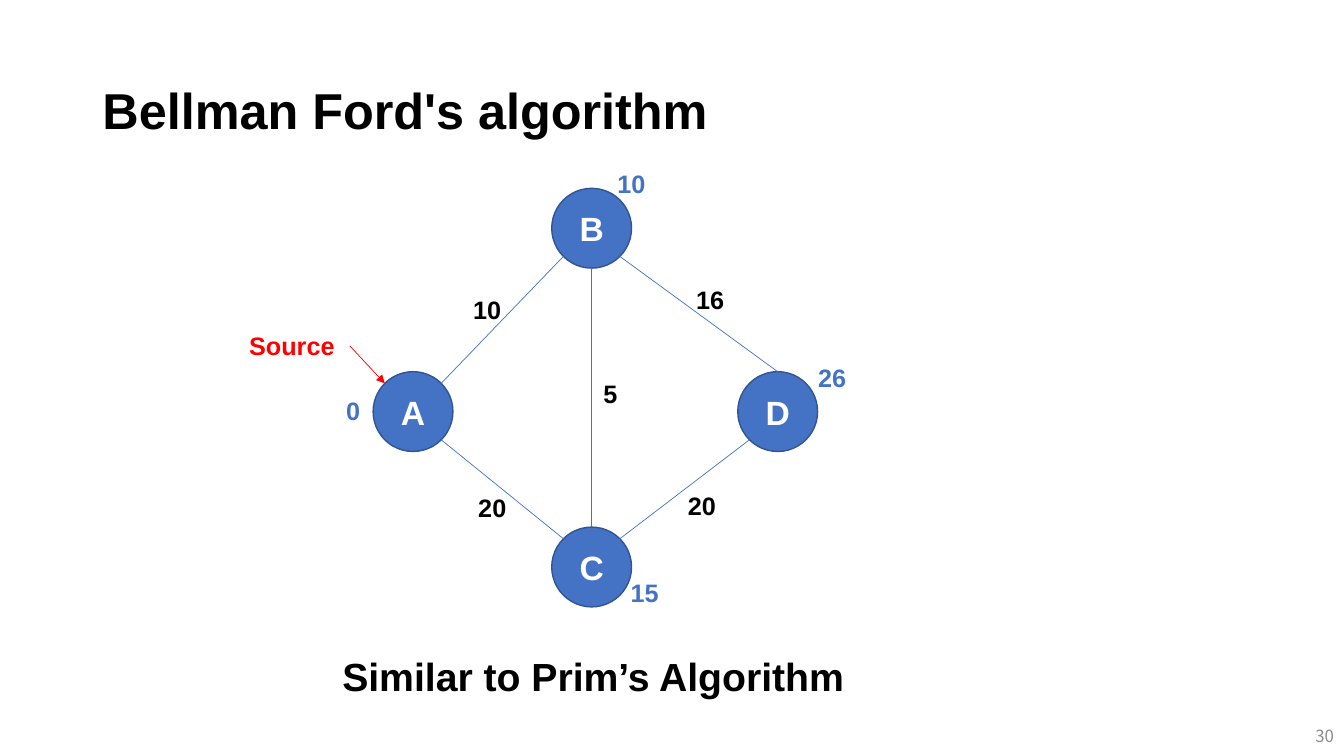
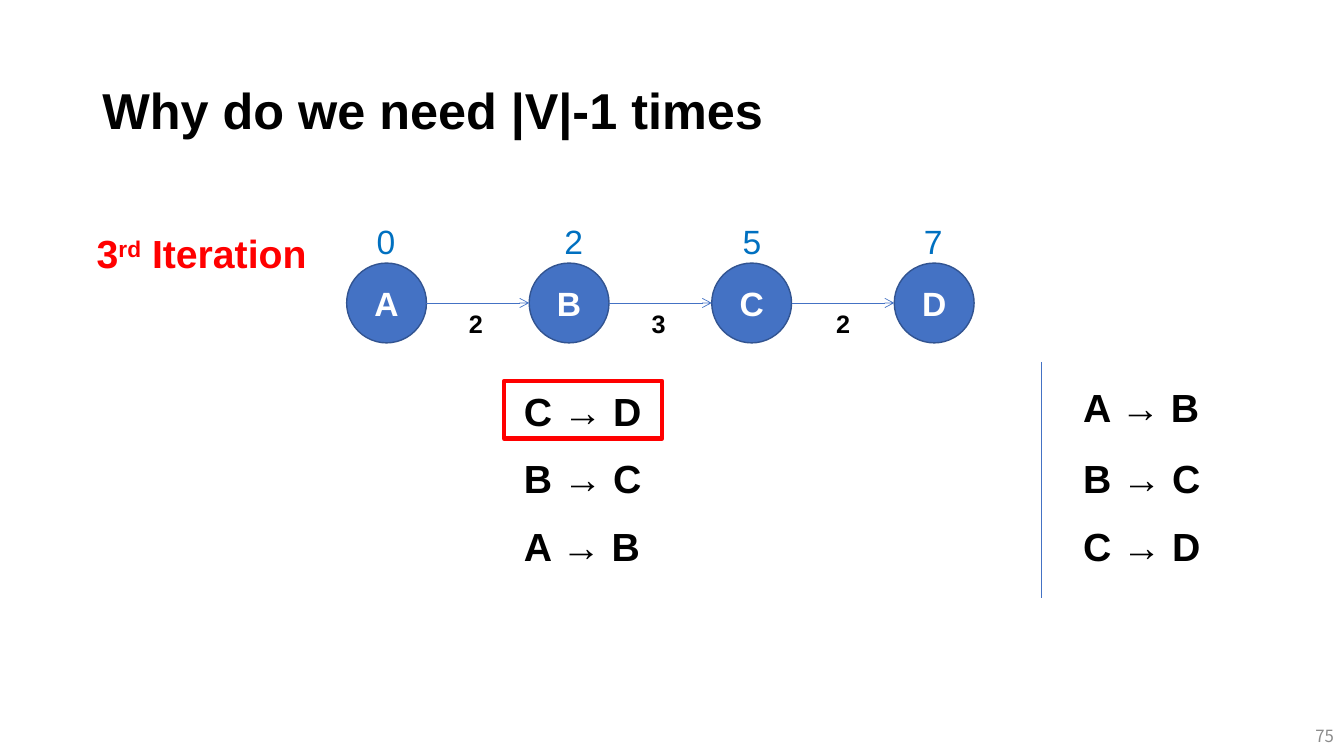
import math

from pptx import Presentation
from pptx.dml.color import RGBColor
from pptx.enum import shapes, text
from pptx.oxml.ns import qn
from pptx.util import Pt
from lxml import etree

FONT = "Arial"
NUMBER_FONT = "Noto Sans CJK KR"
BLACK = "000000"
WHITE = "FFFFFF"
BLUE = "4472C4"
DARK_BLUE = "325491"
BRIGHT_BLUE = "0070C0"
RED = "FF0000"
GREY = "8C8C8C"

DIAMETER = 57
LEFT, CENTER, RIGHT = text.PP_ALIGN.LEFT, text.PP_ALIGN.CENTER, text.PP_ALIGN.RIGHT
TOP, MIDDLE = text.MSO_ANCHOR.TOP, text.MSO_ANCHOR.MIDDLE


def color(hex_string):
    return RGBColor.from_string(hex_string)


def points(*lengths):
    return [Pt(length) for length in lengths]


def style_text(shape, size, hex_color, bold=True, align=LEFT, anchor=TOP, font=FONT):
    shape.text_frame.vertical_anchor = anchor
    for paragraph in shape.text_frame.paragraphs:
        paragraph.alignment = align
        for run in paragraph.runs:
            run.font.name = font
            run.font.size = Pt(size)
            run.font.bold = bold
            run.font.color.rgb = color(hex_color)


def add_text(slide, content, box, size, hex_color, wrap=True, **style):
    shape = slide.shapes.add_textbox(*points(*box))
    shape.text_frame.word_wrap = wrap
    shape.text_frame.text = content
    style_text(shape, size, hex_color, **style)
    return shape


def add_label(slide, content, left, top, hex_color=BLACK):
    """Add a small centred number beside a node or an edge."""
    add_text(slide, content, (left, top, 38, 29), 18, hex_color, align=CENTER)


def add_node(slide, name, center):
    x, y = center
    box = points(x - DIAMETER / 2, y - DIAMETER / 2, DIAMETER, DIAMETER)
    node = slide.shapes.add_shape(shapes.MSO_SHAPE.OVAL, *box)
    node.shadow.inherit = False
    node.fill.solid()
    node.fill.fore_color.rgb = color(BLUE)
    node.line.color.rgb = color(DARK_BLUE)
    node.line.width = Pt(1)
    node.text_frame.text = name
    style_text(node, 24, WHITE, align=CENTER, anchor=MIDDLE)


def rim(center, degrees):
    """Return the point on a node's outline, clockwise from the right."""
    angle = math.radians(degrees)
    x, y = center
    return x + DIAMETER / 2 * math.cos(angle), y + DIAMETER / 2 * math.sin(angle)


def add_line(slide, start, end, hex_color=BLUE, arrowhead=None):
    line = slide.shapes.add_connector(
        shapes.MSO_CONNECTOR.STRAIGHT, *points(*start, *end))
    line.line.color.rgb = color(hex_color)
    line.line.width = Pt(0.5)
    properties = line._element.spPr
    if arrowhead:
        etree.SubElement(properties.find(qn("a:ln")), qn("a:tailEnd"), type=arrowhead)
    etree.SubElement(properties, qn("a:effectLst"))


def add_slide(presentation, title_text, number):
    slide = presentation.slides.add_slide(presentation.slide_layouts[5])
    title = slide.shapes.title
    title.left, title.top, title.width, title.height = points(66, 29, 828, 104.4)
    title.text_frame.text = title_text
    title.text_frame.paragraphs[0].line_spacing = 0.9
    style_text(title, 36, BLACK, anchor=MIDDLE)
    add_text(slide, number, (744, 511.2, 216, 28.8), 12, GREY, bold=False,
             align=RIGHT, anchor=MIDDLE, font=NUMBER_FONT)
    return slide


def add_shortest_path_slide(presentation):
    slide = add_slide(presentation, "Bellman Ford's algorithm", "30")
    centers = {"A": (295, 294), "B": (422.6, 163), "C": (422.6, 405), "D": (555.5, 294)}
    for name, center in centers.items():
        add_node(slide, name, center)

    edges = [("C", 225, "A", 45), ("B", 135, "A", 315), ("D", 135, "C", 315),
             ("B", 90, "C", 270), ("B", 45, "D", 270)]
    for start, start_angle, end, end_angle in edges:
        add_line(slide, rim(centers[start], start_angle), rim(centers[end], end_angle))

    weights = [("10", 329, 206.6), ("20", 332.6, 347.8), ("5", 417, 267),
               ("20", 482.4, 347), ("16", 488.2, 199.4)]
    for weight, left, top in weights:
        add_label(slide, weight, left, top)
    distances = [("10", 432, 116.6), ("15", 441.4, 409), ("26", 575.3, 255),
                 ("0", 233.3, 278.6)]
    for distance, left, top in distances:
        add_label(slide, distance, left, top, BLUE)

    add_text(slide, "Source", (167.8, 232.6, 81.4, 29), 18, RED, align=CENTER)
    add_line(slide, (249.8, 247), rim(centers["A"], 225), RED, "triangle")
    add_text(slide, "Similar to Prim’s Algorithm", (229.7, 462.2, 388, 41), 28, BLACK,
             align=CENTER)


def add_edge_order(slide, edges, left, tops):
    for edge, top in zip(edges, tops):
        add_text(slide, edge, (left, top, 98.6, 41), 28, BLACK, wrap=False)


def add_iteration_heading(slide):
    heading = add_text(slide, "3", (62, 160.6, 168.5, 41), 28, RED, wrap=False)
    paragraph = heading.text_frame.paragraphs[0]
    suffix = paragraph.add_run()
    suffix.text = "rd"
    suffix._r.get_or_add_rPr().set("baseline", "30000")
    paragraph.add_run().text = " Iteration"
    style_text(heading, 28, RED)


def add_iterations_slide(presentation):
    slide = add_slide(presentation, "Why do we need |V|-1 times", "75")
    centers = [(276.1 + 130.4 * index, 216.4) for index in range(4)]
    for name, center in zip("ABCD", centers):
        add_node(slide, name, center)
    for distance, left in zip("0257", (262, 396, 523.4, 652.8)):
        add_text(slide, distance, (left, 154, 28, 36), 24, BRIGHT_BLUE, wrap=False,
                 bold=False)
    for start, end in zip(centers, centers[1:]):
        add_line(slide, rim(start, 0), rim(end, 180), arrowhead="arrow")
    for weight, left in zip("232", (321, 451.4, 583.2)):
        add_label(slide, weight, left, 216.7)

    add_iteration_heading(slide)
    edges = ["A → B", "B → C", "C → D"]
    add_edge_order(slide, reversed(edges), 367.2, (272.9, 321.1, 369.4))
    add_edge_order(slide, edges, 766.6, (270, 321.1, 369.4))

    highlight = slide.shapes.add_shape(
        shapes.MSO_SHAPE.RECTANGLE, *points(360, 272.2, 113, 41))
    highlight.shadow.inherit = False
    highlight.fill.background()
    highlight.line.color.rgb = color(RED)
    highlight.line.width = Pt(3)
    add_line(slide, (743.8, 258.5), (743.8, 427))


def main():
    presentation = Presentation()
    presentation.slide_width, presentation.slide_height = points(960, 540)
    add_shortest_path_slide(presentation)
    add_iterations_slide(presentation)
    presentation.save("out.pptx")


if __name__ == "__main__":
    main()
